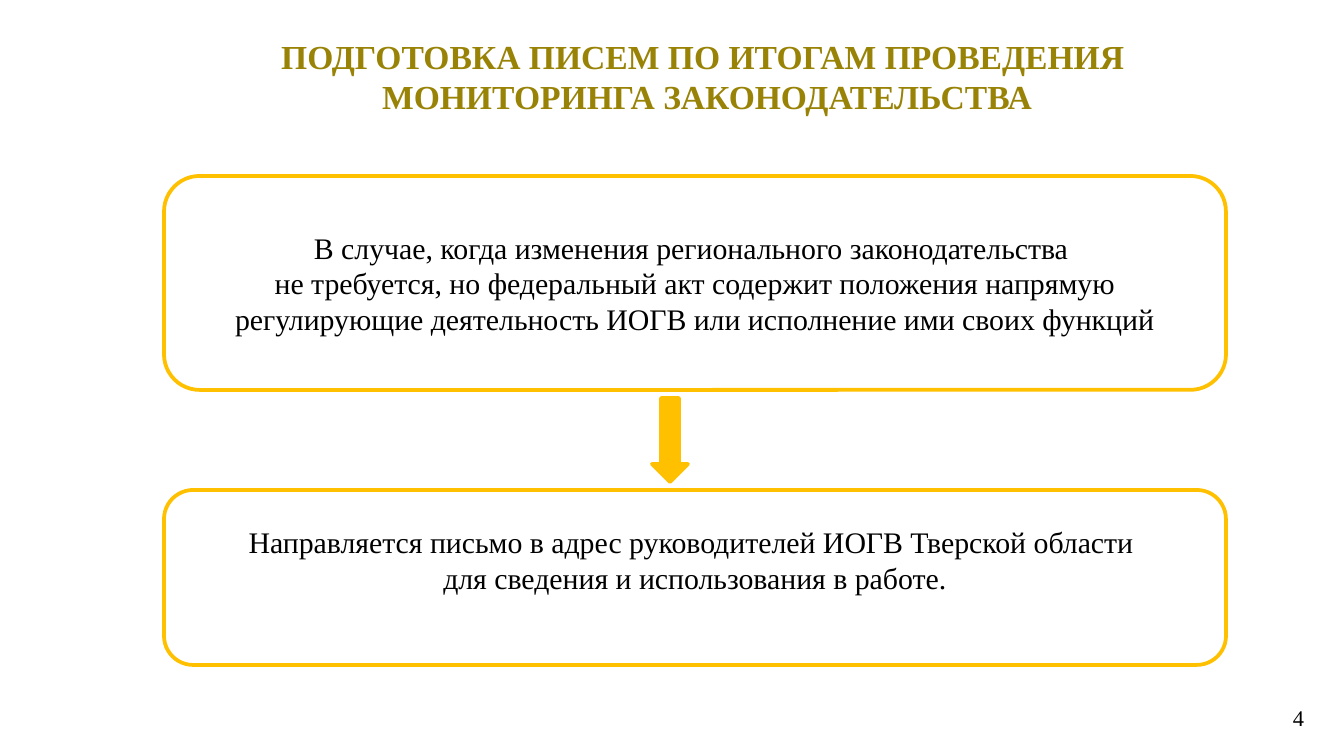
from pptx import Presentation
from pptx.dml.color import RGBColor
from pptx.enum.shapes import MSO_SHAPE
from pptx.enum.text import MSO_ANCHOR, PP_ALIGN
from pptx.util import Emu, Pt

ROUNDED, DOWN_ARROW = MSO_SHAPE.ROUNDED_RECTANGLE, MSO_SHAPE.DOWN_ARROW
TOP, MIDDLE = MSO_ANCHOR.TOP, MSO_ANCHOR.MIDDLE
CENTER, RIGHT = PP_ALIGN.CENTER, PP_ALIGN.RIGHT
GOLD, OLIVE, BLACK, WHITE = "FFC000", "998307", "000000", "FFFFFF"


def px(length):
    return Emu(round(length * 914400 / 134.4))


def color(hex_value):
    return RGBColor.from_string(hex_value)


class SlideBuilder:
    font_name = "Times New Roman"
    line_width = Pt(2)

    def __init__(self, slide):
        self.slide = slide

    def fill_text(self, shape, lines, size, ink=BLACK, bold=False,
                  align=CENTER, anchor=MIDDLE, side=10, bottom=5):
        frame = shape.text_frame
        frame_format = {
            "word_wrap": True, "vertical_anchor": anchor,
            "margin_left": px(side), "margin_right": px(side),
            "margin_top": px(5), "margin_bottom": px(bottom),
        }
        for name, value in frame_format.items():
            setattr(frame, name, value)
        for index, line in enumerate(lines):
            paragraph = frame.add_paragraph() if index else frame.paragraphs[0]
            paragraph.alignment = align
            run = paragraph.add_run()
            run.text = line
            font_format = {"name": self.font_name, "size": Pt(size), "bold": bold}
            for name, value in font_format.items():
                setattr(run.font, name, value)
            run.font.color.rgb = color(ink)

    def text(self, box, lines, size, **style):
        shape = self.slide.shapes.add_textbox(*map(px, box))
        self.fill_text(shape, lines, size, **style)

    def shape(self, kind, box, fill):
        shape = self.slide.shapes.add_shape(kind, *map(px, box))
        shape.shadow.inherit = False
        shape.fill.solid()
        shape.fill.fore_color.rgb = color(fill)
        shape.line.color.rgb = color(GOLD)
        shape.line.width = self.line_width
        return shape

    def card(self, top, height, lines, **style):
        shape = self.shape(ROUNDED, (164, top, 1062, height), WHITE)
        self.fill_text(shape, lines, 16, **style)


presentation = Presentation()
presentation.slide_width, presentation.slide_height = px(1344), px(756)
builder = SlideBuilder(presentation.slides.add_slide(presentation.slide_layouts[6]))

# Title and page number
builder.text((121, 39, 1164, 74),
             ["ПОДГОТОВКА ПИСЕМ ПО ИТОГАМ ПРОВЕДЕНИЯ",
              " МОНИТОРИНГА ЗАКОНОДАТЕЛЬСТВА"],
             18, ink=OLIVE, bold=True)
builder.text((1282, 699, 31, 46), ["4"], 12, align=RIGHT, anchor=TOP, side=9)

# Condition, arrow, resulting action
builder.card(176, 214,
             ["В случае, когда изменения регионального законодательства ",
              "не требуется, но федеральный акт содержит положения напрямую "
              "регулирующие деятельность ИОГВ или исполнение ими своих функций"])
builder.shape(DOWN_ARROW, (652, 398, 36, 84), GOLD)
builder.card(490, 175,
             ["Направляется письмо в адрес руководителей ИОГВ Тверской области ",
              "для сведения и использования в работе."], bottom=41)

presentation.save("out.pptx")
